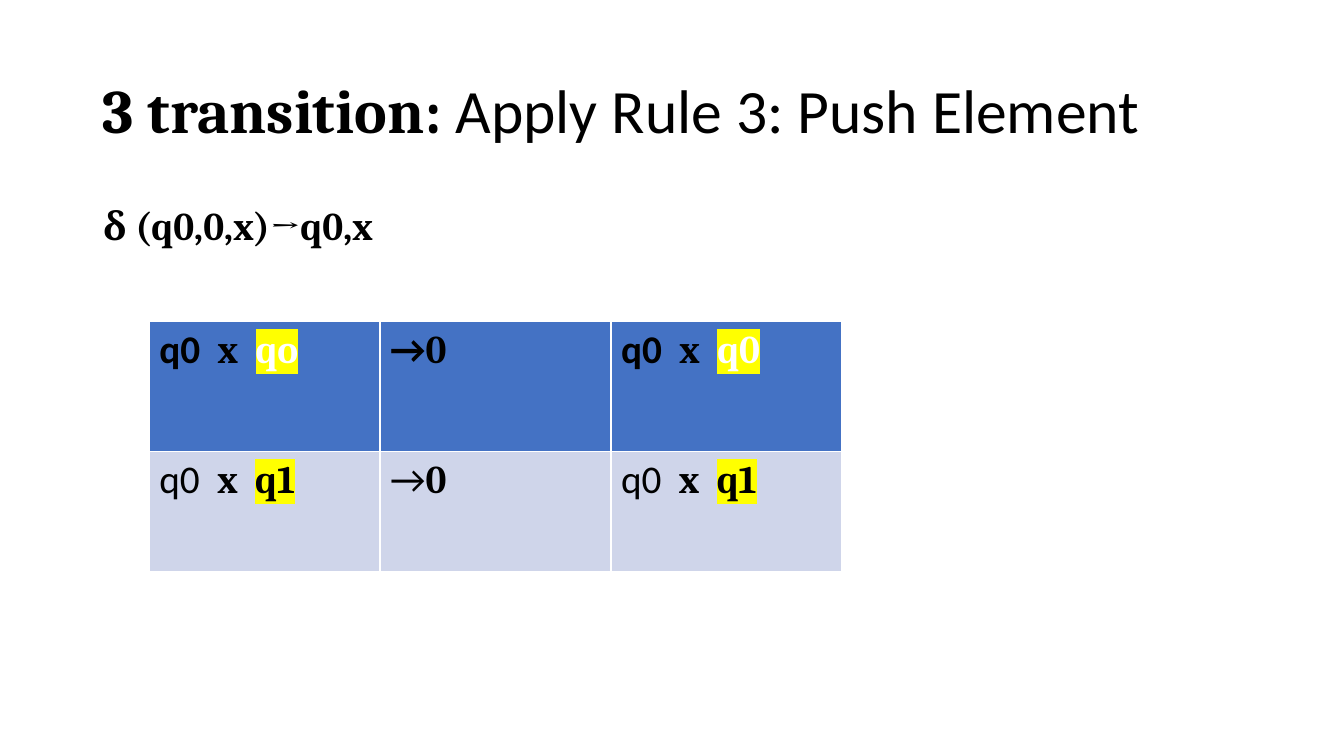
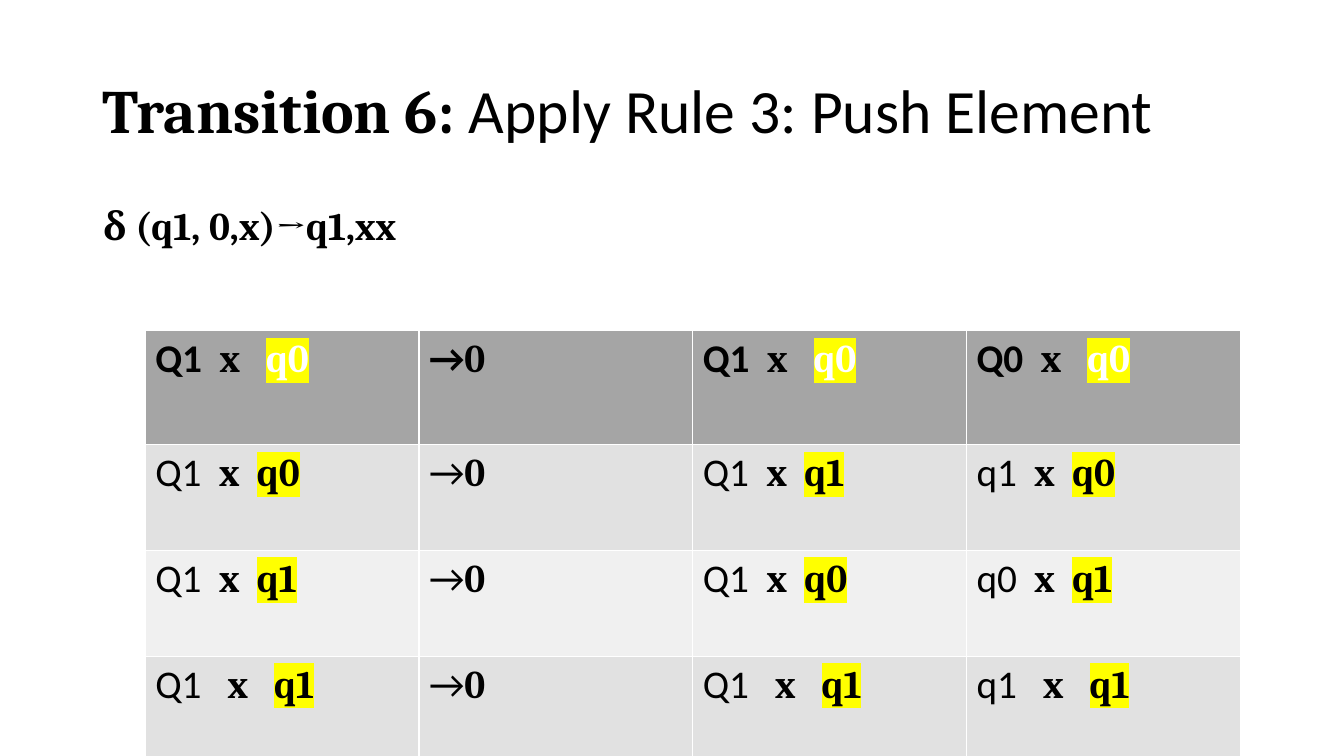
"""Build two slides showing pushdown automaton transitions."""
from dataclasses import dataclass

from lxml import etree
from pptx import Presentation
from pptx.dml.color import RGBColor
from pptx.enum.text import MSO_ANCHOR, MSO_AUTO_SIZE, PP_ALIGN
from pptx.oxml.ns import qn
from pptx.util import Inches, Pt

SANS, SERIF = "Calibri", "Cambria"
BLACK, WHITE, YELLOW = "000000", "FFFFFF", "FFFF00"
TITLE_SIZE, TEXT_SIZE = 44, 28
SPACE_WIDTH = 6.2  # points taken by one space at TEXT_SIZE
TITLE_BOX = (0.92, 0.4, 11.5, 1.45)
BODY_BOX = (0.92, 2, 11.5, 4.76)
READ_ZERO = "→0"


@dataclass(frozen=True)
class Row:
    """One table row; gaps count the spaces after the state and the symbol."""
    cells: tuple[str, ...]
    fill: str
    height: float
    state_gap: int = 2
    symbol_gap: int = 2


@dataclass(frozen=True)
class TransitionSlide:
    """The wording and table of one slide."""
    step: str
    rule: str
    left: float
    top: float
    width: float
    rows: tuple[Row, ...]


SLIDES = (
    TransitionSlide("3 transition: ", "δ (q0,0,x)→q0,x", 1.48, 3.19, 6.87, (
        Row(("q0 x qo", READ_ZERO, "q0 x q0"), "4472C4", 1.29),
        Row(("q0 x q1", READ_ZERO, "q0 x q1"), "CFD5EA", 1.19),
    )),
    TransitionSlide("Transition 6: ", "δ (q1, 0,x)→q1,xx", 1.44, 3.28, 10.86, (
        Row(("Q1 x q0", READ_ZERO, "Q1 x q0", "Q0 x q0"), "A5A5A5", 1.13, 2, 3),
        Row(("Q1 x q0", READ_ZERO, "Q1 x q1", "q1 x q0"), "E1E1E1", 1.05),
        Row(("Q1 x q1", READ_ZERO, "Q1 x q0", "q0 x q1"), "F0F0F0", 1.05),
        Row(("Q1 x q1", READ_ZERO, "Q1 x q1", "q1 x q1"), "E1E1E1", 1.05, 3, 3),
    )),
)


def rgb(value: str) -> RGBColor:
    """Turn a hex string into a colour."""
    return RGBColor.from_string(value)


def add_run(paragraph, text: str, font: str, bold: bool,
            size: float = TEXT_SIZE, color: str = BLACK):
    """Append a formatted run and return it."""
    run = paragraph.add_run()
    run.text = text
    run.font.name, run.font.size, run.font.bold = font, Pt(size), bold
    run.font.color.rgb = rgb(color)
    return run


def add_gap(paragraph, spaces: int, font: str, bold: bool) -> None:
    """Append one space, widened to the given number of spaces."""
    run = add_run(paragraph, " ", font, bold)
    extra = round((spaces - 1) * SPACE_WIDTH * 100)
    run.font._element.set("spc", str(extra))


def highlight(run, color: str) -> None:
    """Mark a run with a background colour."""
    mark = etree.Element(qn("a:highlight"))
    etree.SubElement(mark, qn("a:srgbClr"), val=color)
    run.font._element.find(qn("a:solidFill")).addnext(mark)


def place(shape, box: tuple[float, ...], anchor: MSO_ANCHOR):
    """Move a placeholder and return its first paragraph, left aligned."""
    shape.left, shape.top, shape.width, shape.height = map(Inches, box)
    frame = shape.text_frame
    frame.auto_size = MSO_AUTO_SIZE.NONE
    frame.vertical_anchor = anchor
    paragraph = frame.paragraphs[0]
    paragraph.alignment = PP_ALIGN.LEFT
    paragraph.line_spacing = 0.9
    return paragraph


def fill_title(slide, step: str) -> None:
    """Write the step in bold serif, then the shared heading."""
    paragraph = place(slide.shapes.title, TITLE_BOX, MSO_ANCHOR.MIDDLE)
    add_run(paragraph, step, SERIF, True, TITLE_SIZE)
    add_run(paragraph, "Apply Rule 3: Push Element", SANS, False, TITLE_SIZE)


def fill_body(slide, rule: str) -> None:
    """Write the transition rule without a bullet."""
    paragraph = place(slide.placeholders[1], BODY_BOX, MSO_ANCHOR.TOP)
    paragraph.space_before = Pt(10)
    add_run(paragraph, rule, SERIF, True)
    properties = paragraph._p.get_or_add_pPr()
    properties.set("marL", "0")
    properties.set("indent", "0")
    etree.SubElement(properties, qn("a:buNone"))


def fill_cell(cell, text: str, row: Row, header: bool) -> None:
    """Write a state, symbol and target triple, or the input that is read."""
    cell.fill.solid()
    cell.fill.fore_color.rgb = rgb(row.fill)
    paragraph = cell.text_frame.paragraphs[0]
    if text == READ_ZERO:
        add_run(paragraph, text[0], SANS, header)
        add_run(paragraph, text[1:], SERIF, True)
        return
    state, symbol, target = text.split()
    add_run(paragraph, state, SANS, header)
    add_gap(paragraph, row.state_gap, SANS, header)
    add_run(paragraph, symbol, SERIF, True)
    add_gap(paragraph, row.symbol_gap, SERIF, True)
    color = WHITE if header else BLACK
    highlight(add_run(paragraph, target, SERIF, True, color=color), YELLOW)


def add_transition_table(slide, spec: TransitionSlide) -> None:
    """Draw the table with equal columns and the default white grid."""
    columns = len(spec.rows[0].cells)
    height = sum(row.height for row in spec.rows)
    table = slide.shapes.add_table(
        len(spec.rows), columns, Inches(spec.left), Inches(spec.top),
        Inches(spec.width), Inches(height)).table
    for r, row in enumerate(spec.rows):
        table.rows[r].height = Inches(row.height)
        for c, text in enumerate(row.cells):
            fill_cell(table.cell(r, c), text, row, header=r == 0)


def main() -> None:
    """Build and save the presentation."""
    deck = Presentation()
    deck.slide_width, deck.slide_height = Inches(13.33), Inches(7.5)
    for spec in SLIDES:
        slide = deck.slides.add_slide(deck.slide_layouts[1])
        fill_title(slide, spec.step)
        fill_body(slide, spec.rule)
        add_transition_table(slide, spec)
    deck.save("out.pptx")


main()
